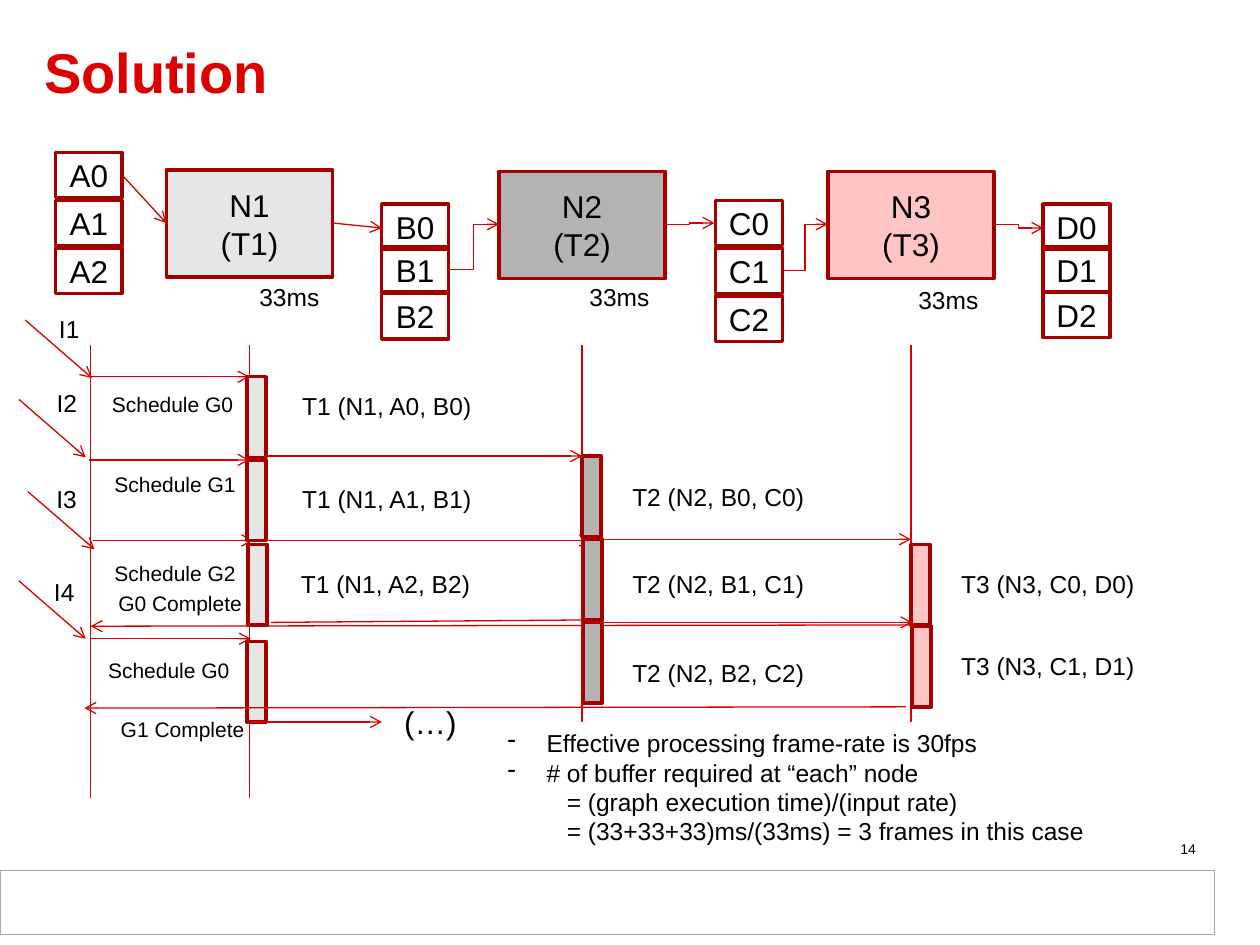
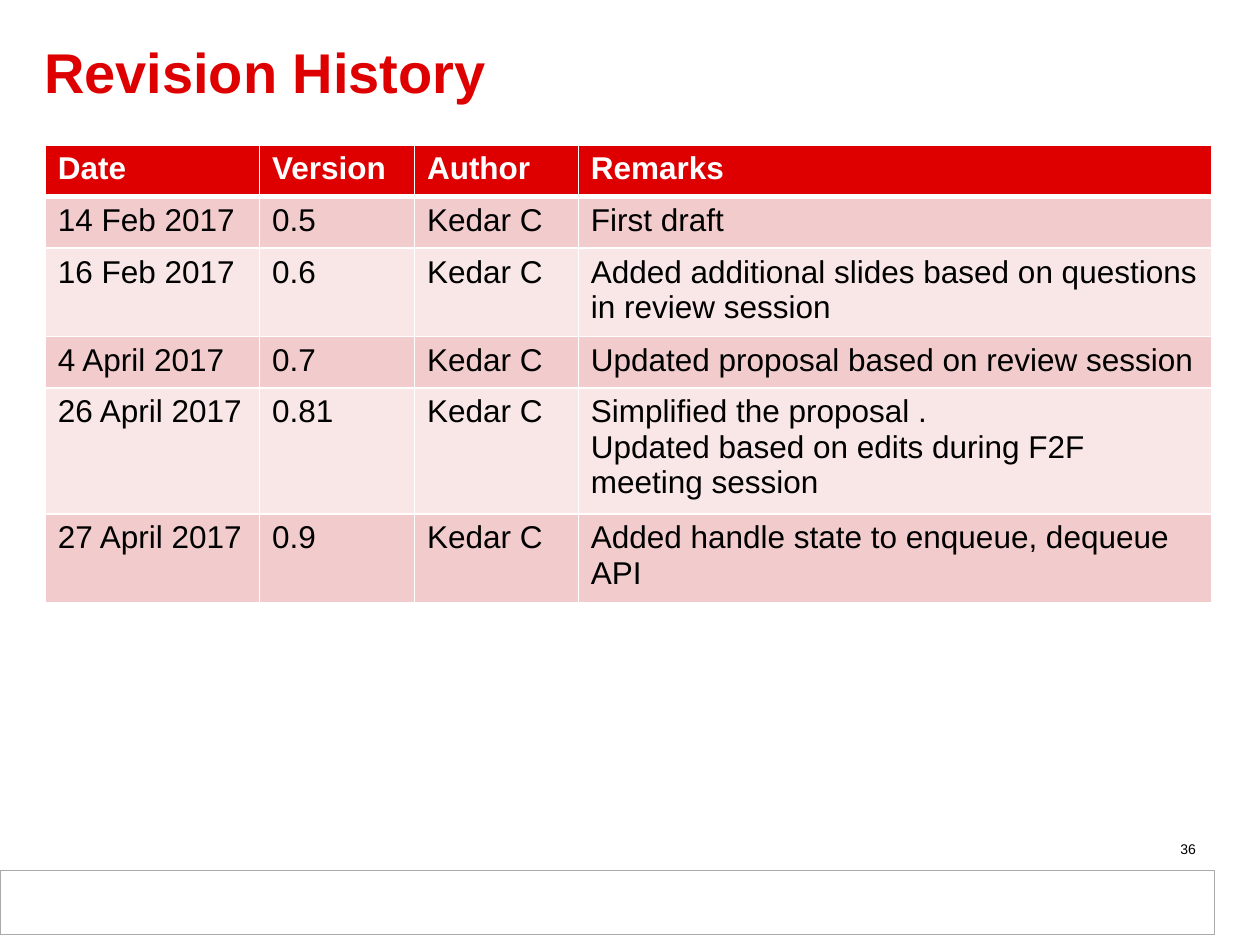
from typing import NamedTuple

from lxml.etree import SubElement
from pptx import Presentation
from pptx.dml.color import RGBColor
from pptx.enum.shapes import MSO_CONNECTOR, MSO_SHAPE
from pptx.enum.text import MSO_ANCHOR, PP_ALIGN
from pptx.oxml.ns import qn
from pptx.util import Inches, Pt

RED = RGBColor(0xDE, 0x00, 0x00)
LINE_RED = RGBColor(0xD9, 0x00, 0x00)
DARK_RED = RGBColor(0xA4, 0x00, 0x00)
PINK = RGBColor(0xFF, 0xC5, 0xC5)
LIGHT_GREY = RGBColor(0xE6, 0xE6, 0xE6)
MID_GREY = RGBColor(0xB3, 0xB3, 0xB3)
BAND_GREY = RGBColor(0xAA, 0xAA, 0xAA)
ROW_DARK = RGBColor(0xF2, 0xCC, 0xCC)
ROW_LIGHT = RGBColor(0xF9, 0xE7, 0xE7)
BLACK = RGBColor(0x00, 0x00, 0x00)
WHITE = RGBColor(0xFF, 0xFF, 0xFF)


class Node(NamedTuple):
    name: str
    thread: str
    left: float
    top: float
    fill: RGBColor


class BufferStack(NamedTuple):
    letter: str
    left: float
    tops: tuple


class Label(NamedTuple):
    text: str
    left: float
    top: float
    width: float
    size: int = 14
    wrap: bool = True


class Arrow(NamedTuple):
    left: float
    top: float
    right: float
    bottom: float
    kind: MSO_CONNECTOR = MSO_CONNECTOR.STRAIGHT
    head: bool = True


class Bar(NamedTuple):
    left: float
    top: float
    fill: RGBColor


ELBOW = MSO_CONNECTOR.ELBOW

NODES = [
    Node("N1", "(T1)", 1.32, 1.35, LIGHT_GREY),
    Node("N2", "(T2)", 3.96, 1.36, MID_GREY),
    Node("N3", "(T3)", 6.57, 1.36, PINK),
]
STACKS = [
    BufferStack("A", 0.44, (1.21, 1.59, 1.97)),
    BufferStack("B", 3.03, (1.62, 1.96, 2.33)),
    BufferStack("C", 5.68, (1.59, 1.97, 2.35)),
    BufferStack("D", 8.28, (1.62, 1.96, 2.32)),
]
FLOWS = [
    Arrow(0.97, 1.39, 1.32, 1.77),
    Arrow(2.64, 1.77, 3.03, 1.81),
    Arrow(3.56, 2.14, 3.96, 1.78, ELBOW),
    Arrow(5.28, 1.78, 5.67, 1.77, ELBOW),
    Arrow(6.21, 2.15, 6.57, 1.78, ELBOW),
    Arrow(7.89, 1.78, 8.28, 1.81, ELBOW),
]
LIFELINES = [Arrow(x, 2.74, x, 6.33, head=False) for x in (0.72, 1.98, 4.62, 7.23)]
INPUTS = [
    Arrow(left, top, left + 0.53, top + 0.46)
    for left, top in ((0.2, 2.54), (0.15, 3.17), (0.22, 3.9), (0.15, 4.61))
]
CALLS_BEHIND_BARS = [
    Arrow(0.71, 2.99, 1.98, 2.99),
    Arrow(1.98, 3.62, 4.62, 3.62),
    Arrow(4.66, 4.28, 7.23, 4.28),
    Arrow(7.24, 4.96, 0.72, 4.97),
    Arrow(0.72, 5.07, 1.99, 5.07),
    Arrow(2.06, 4.29, 4.69, 4.29),
    Arrow(0.74, 4.29, 2.01, 4.29),
    Arrow(2.15, 4.94, 4.71, 4.92),
]
CALLS_OVER_BARS = [
    Arrow(0.71, 3.65, 1.98, 3.65),
    Arrow(1.99, 5.73, 3.03, 5.73),
    Arrow(7.19, 5.61, 0.67, 5.62),
    Arrow(4.67, 4.94, 7.24, 4.94),
]
BARS = [
    Bar(1.96, 2.99, LIGHT_GREY),
    Bar(1.96, 3.65, LIGHT_GREY),
    Bar(1.97, 4.32, LIGHT_GREY),
    Bar(1.96, 5.09, LIGHT_GREY),
    Bar(4.62, 3.62, MID_GREY),
    Bar(4.63, 4.28, MID_GREY),
    Bar(4.63, 4.94, MID_GREY),
    Bar(7.23, 4.32, PINK),
    Bar(7.24, 4.97, PINK),
]
LABELS = [
    Label("33ms", 1.96, 2.19, 0.68, wrap=False),
    Label("33ms", 4.58, 2.19, 0.68, wrap=False),
    Label("33ms", 7.19, 2.21, 0.68, wrap=False),
    Label("I1", 0.37, 2.44, 1.23),
    Label("I2", 0.35, 3.03, 0.41),
    Label("I3", 0.35, 3.79, 0.4),
    Label("I4", 0.33, 4.53, 0.42),
    Label("Schedule G0", 0.79, 3.06, 1.23, 12),
    Label("Schedule G1", 0.81, 3.69, 1.23, 12),
    Label("Schedule G2", 0.81, 4.4, 1.23, 12),
    Label("G0 Complete", 0.84, 4.64, 1.22, 12),
    Label("Schedule G0", 0.76, 5.17, 1.23, 12),
    Label("G1 Complete", 0.86, 5.64, 1.22, 12),
    Label("T1 (N1, A0, B0)", 2.3, 3.05, 1.83),
    Label("T1 (N1, A1, B1)", 2.3, 3.79, 1.83),
    Label("T1 (N1, A2, B2)", 2.29, 4.47, 1.83),
    Label("T2 (N2, B0, C0)", 4.92, 3.78, 1.77),
    Label("T2 (N2, B1, C1)", 4.92, 4.47, 1.77),
    Label("T2 (N2, B2, C2)", 4.92, 5.17, 1.77),
    Label("T3 (N3, C0, D0)", 7.53, 4.47, 1.98),
    Label("T3 (N3, C1, D1)", 7.53, 5.12, 1.98),
    Label("(…)", 3.11, 5.53, 0.62, 18, False),
]
NOTES = [
    ("Effective processing frame-rate is 30fps", True),
    ("# of buffer required at “each” node", True),
    ("= (graph execution time)/(input rate)", False),
    ("= (33+33+33)ms/(33ms) = 3 frames in this case", False),
]
COLUMN_WIDTHS = (1.7, 1.23, 1.3, 5.03)
ROW_HEIGHT = 0.41
REVISIONS = [
    ("Date", "Version", "Author", "Remarks"),
    ("14 Feb 2017", "0.5", "Kedar C", "First draft"),
    ("16 Feb 2017", "0.6", "Kedar C",
     "Added additional slides based on questions in review session"),
    ("4 April 2017", "0.7", "Kedar C", "Updated proposal based on review session"),
    ("26 April 2017", "0.81", "Kedar C",
     "Simplified the proposal .\nUpdated based on edits during F2F meeting session"),
    ("27 April 2017", "0.9", "Kedar C", "Added handle state to enqueue, dequeue API"),
]


def write(frame, lines, size, color=BLACK, bold=False, align=PP_ALIGN.LEFT):
    font_format = {"name": "Arial", "size": Pt(size), "bold": bold}
    for index, line in enumerate(lines):
        para = frame.paragraphs[0] if index == 0 else frame.add_paragraph()
        para.alignment = align
        span = para.add_run()
        span.text = line
        for attribute, value in font_format.items():
            setattr(span.font, attribute, value)
        span.font.color.rgb = color


def add_box(page, left: float, top: float, width: float, height: float,
            fill=None, line=None, line_width: float = 2):
    box = page.shapes.add_shape(MSO_SHAPE.RECTANGLE, Inches(left), Inches(top),
                                Inches(width), Inches(height))
    box.shadow.inherit = False
    if fill is None:
        box.fill.background()
    else:
        box.fill.solid()
        box.fill.fore_color.rgb = fill
    if line is None:
        box.line.fill.background()
    else:
        box.line.color.rgb = line
        box.line.width = Pt(line_width)
    return box


def add_titled_box(page, lines, left: float, top: float, width: float,
                   height: float, fill=None) -> None:
    box = add_box(page, left, top, width, height, fill, DARK_RED)
    box.text_frame.vertical_anchor = MSO_ANCHOR.MIDDLE
    write(box.text_frame, lines, 18, align=PP_ALIGN.CENTER)


def add_label(page, label: Label, align=PP_ALIGN.LEFT) -> None:
    height = label.size / 60 + 0.1
    box = page.shapes.add_textbox(Inches(label.left), Inches(label.top),
                                  Inches(label.width), Inches(height))
    box.text_frame.word_wrap = label.wrap
    write(box.text_frame, [label.text], label.size, align=align)


def add_arrows(page, arrows) -> None:
    for arrow in arrows:
        connector = page.shapes.add_connector(
            arrow.kind, Inches(arrow.left), Inches(arrow.top),
            Inches(arrow.right), Inches(arrow.bottom))
        connector.line.color.rgb = LINE_RED
        connector.line.width = Pt(0.75)
        properties = connector.element.spPr
        SubElement(properties, qn("a:effectLst"))
        if arrow.head:
            SubElement(properties.find(qn("a:ln")), qn("a:tailEnd"), type="arrow")


def add_notes(page) -> None:
    box = add_box(page, 3.93, 5.73, 5.44, 1.04, WHITE)
    box.text_frame.vertical_anchor = MSO_ANCHOR.TOP
    write(box.text_frame, [text for text, _ in NOTES], 14)
    for para, (_, bulleted) in zip(box.text_frame.paragraphs, NOTES):
        properties = para._p.get_or_add_pPr()
        properties.set("marL", str(Inches(0.31 if bulleted else 0.47)))
        properties.set("indent", str(Inches(-0.31 if bulleted else 0)))
        if bulleted:
            SubElement(properties, qn("a:buChar"), char="-")


def add_cell_borders(cell, widths: dict) -> None:
    properties = cell._tc.get_or_add_tcPr()
    for side, width in widths.items():
        border = SubElement(properties, qn(f"a:{side}"), w=str(Pt(width)))
        paint = SubElement(border, qn("a:solidFill"))
        SubElement(paint, qn("a:srgbClr"), val=str(WHITE))


def add_revision_table(page) -> None:
    frame = page.shapes.add_table(
        len(REVISIONS), len(COLUMN_WIDTHS), Inches(0.36), Inches(1.15),
        Inches(sum(COLUMN_WIDTHS)), Inches(ROW_HEIGHT * len(REVISIONS)))
    table = frame.table
    for column, width in zip(table.columns, COLUMN_WIDTHS):
        column.width = Inches(width)
    for row_index, texts in enumerate(REVISIONS):
        table.rows[row_index].height = Inches(ROW_HEIGHT)
        header = row_index == 0
        fill = RED if header else (ROW_DARK if row_index % 2 else ROW_LIGHT)
        borders = {"lnL": 1, "lnR": 1, "lnT": 3 if row_index == 1 else 1,
                   "lnB": 3 if header else 1}
        for column_index, text in enumerate(texts):
            cell = table.cell(row_index, column_index)
            add_cell_borders(cell, borders)
            cell.fill.solid()
            cell.fill.fore_color.rgb = fill
            write(cell.text_frame, text.split("\n"), 18,
                  WHITE if header else BLACK, header)


def add_page(deck, title: str, number: int):
    page = deck.slides.add_slide(deck.slide_layouts[5])
    heading = page.shapes.title
    position = {"left": 0.25, "top": 0.16, "width": 9.25, "height": 0.89}
    for attribute, value in position.items():
        setattr(heading, attribute, Inches(value))
    heading.text_frame.vertical_anchor = MSO_ANCHOR.MIDDLE
    write(heading.text_frame, [title], 32, RED, True)
    heading.text_frame.paragraphs[0].line_spacing = 0.85
    add_label(page, Label(str(number), 7.26, 6.62, 2.33, 8), PP_ALIGN.RIGHT)
    return page


def move_band_to_layout(page) -> None:
    band = add_box(page, 0, 6.91, 9.64, 0.51, WHITE, BAND_GREY, 0.75)
    page.slide_layout.shapes.element.append(band.element)


def draw_solution(page) -> None:
    for node in NODES:
        add_titled_box(page, [node.name, node.thread], node.left, node.top,
                       1.32, 0.85, node.fill)
    for stack in STACKS:
        for index, top in enumerate(stack.tops):
            add_titled_box(page, [f"{stack.letter}{index}"], stack.left, top, 0.53, 0.36)
    add_arrows(page, FLOWS + LIFELINES + INPUTS + CALLS_BEHIND_BARS)
    add_notes(page)
    for bar in BARS:
        add_box(page, bar.left, bar.top, 0.15, 0.64, bar.fill, DARK_RED)
    add_arrows(page, CALLS_OVER_BARS)
    for label in LABELS:
        add_label(page, label)


deck = Presentation()
deck.slide_width, deck.slide_height = Inches(10), Inches(7.5)
solution_page = add_page(deck, "Solution", 14)
move_band_to_layout(solution_page)
draw_solution(solution_page)
add_revision_table(add_page(deck, "Revision History", 36))
deck.save("out.pptx")
